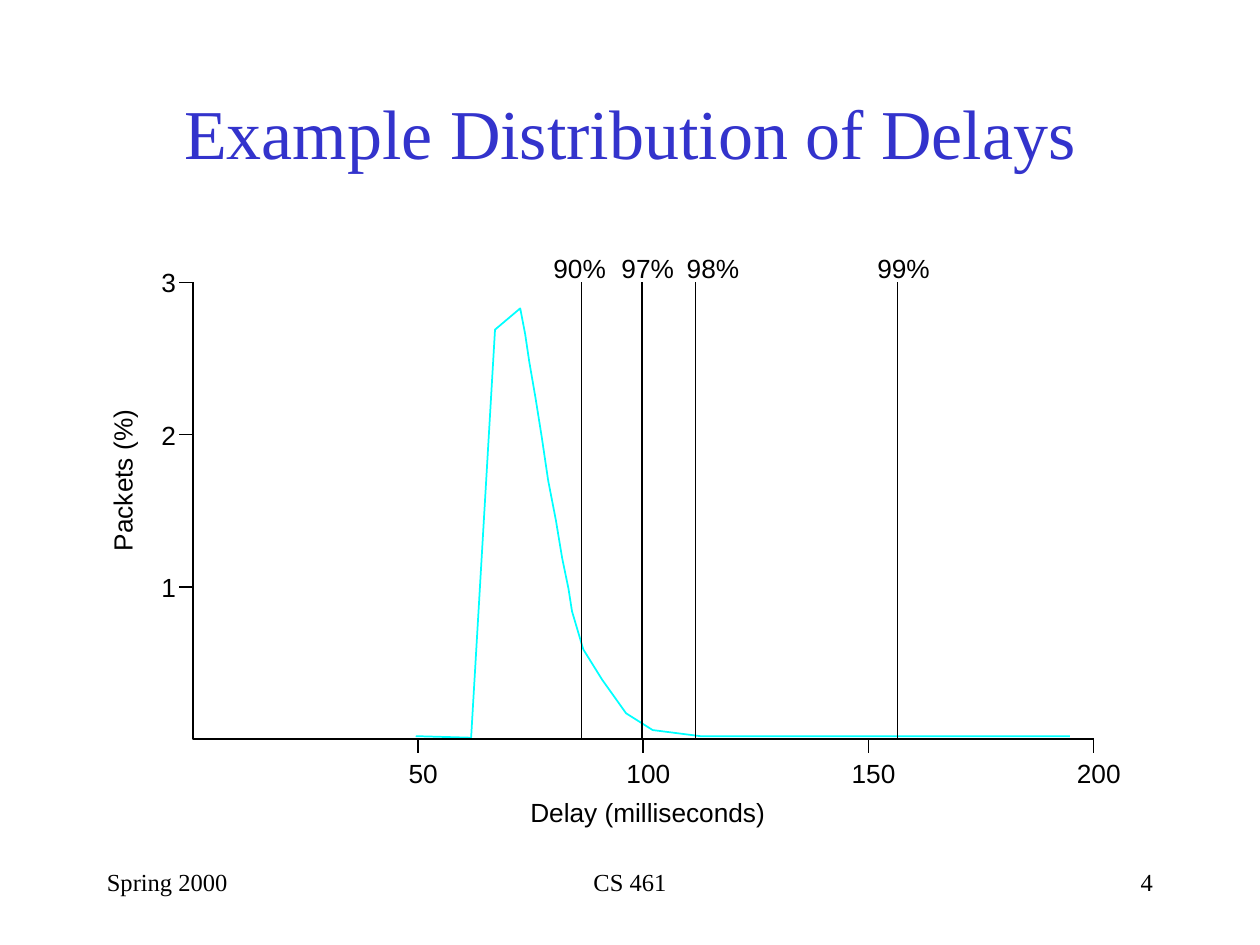
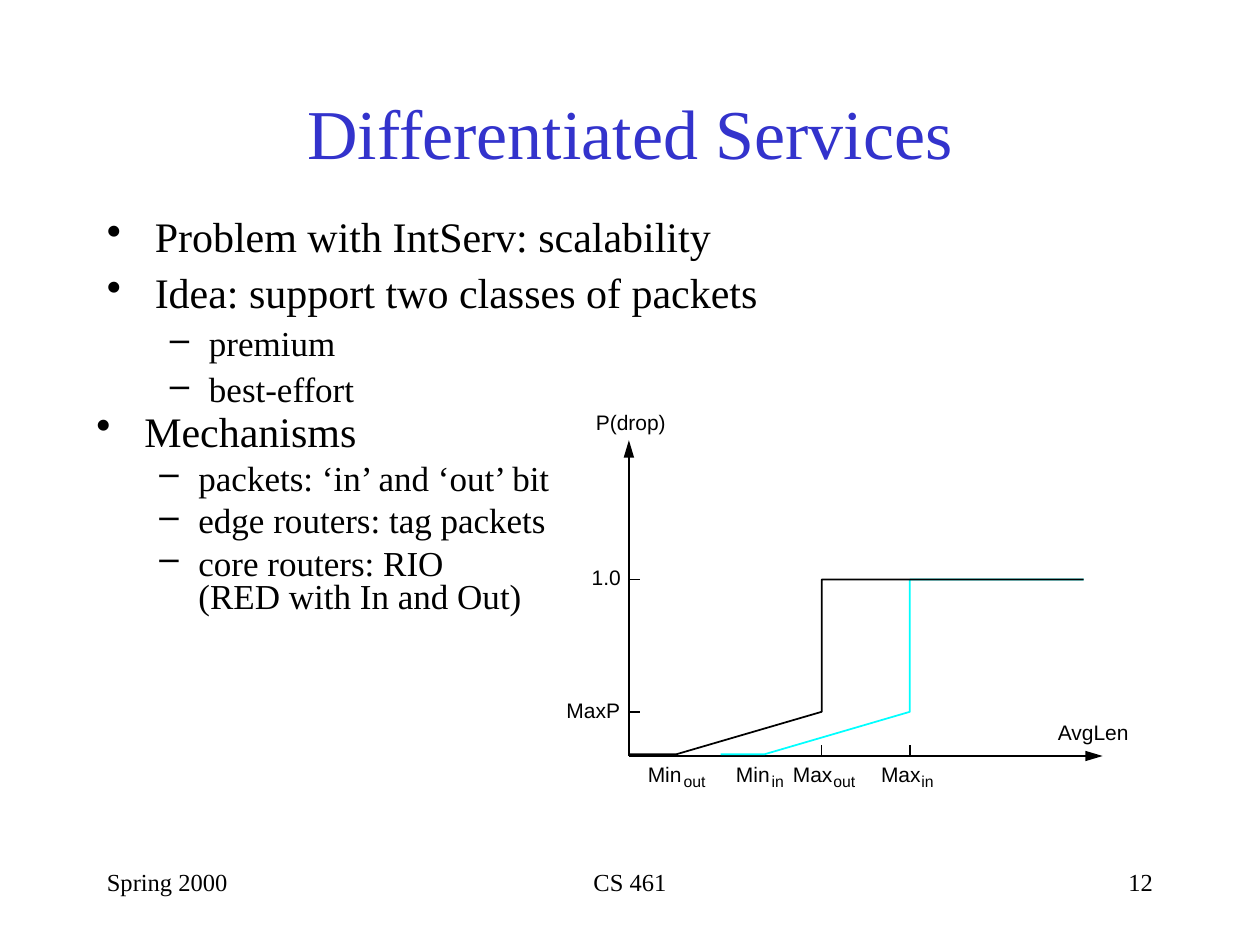
from dataclasses import dataclass

from lxml import etree
from pptx import Presentation
from pptx.dml.color import RGBColor
from pptx.enum.shapes import MSO_CONNECTOR
from pptx.enum.text import MSO_ANCHOR, MSO_AUTO_SIZE, PP_ALIGN
from pptx.oxml.ns import qn
from pptx.util import Inches, Pt

STRAIGHT = MSO_CONNECTOR.STRAIGHT
TOP, MIDDLE = MSO_ANCHOR.TOP, MSO_ANCHOR.MIDDLE
LEFT, CENTER, RIGHT = PP_ALIGN.LEFT, PP_ALIGN.CENTER, PP_ALIGN.RIGHT
FIXED = MSO_AUTO_SIZE.NONE

COLORS = {"title": "3333CC", "ink": "000000", "curve": "00FFFF"}
SERIF, SANS = "Times New Roman", "Arial"
COLUMNS, ROWS = 120, 90
CELL = Inches(10) / COLUMNS


@dataclass
class Box:
    """Rectangle measured in columns and rows of the slide grid."""
    left: float
    top: float
    width: float
    height: float

    def place(self, shape):
        """Move a shape onto this rectangle."""
        shape.left, shape.top = cells(self.left), cells(self.top)
        shape.width, shape.height = cells(self.width), cells(self.height)


@dataclass
class Plot:
    """Plotting area that turns data values into grid positions."""
    box: Box
    x_max: float
    y_max: float

    def at(self, x, y):
        """Return the grid position of a data point."""
        box = self.box
        return (box.left + box.width * x / self.x_max,
                box.top + box.height * (1 - y / self.y_max))


TITLE = Box(9, 5, 102, 15)
FOOTERS = [(Box(9, 82, 25, 6), LEFT), (Box(41, 82, 38, 6), CENTER),
           (Box(86, 82, 25, 6), RIGHT)]
DELAY_BOX = Box(18.36, 26.9, 85.8, 43.5)
DROP_BOX = Box(59.9, 55.2, 43.3, 16.8)

DELAY_CURVE = [
    (49.5, 0.02), (61.8, 0.01), (67.1, 2.69), (72.7, 2.83), (73.8, 2.66),
    (74.7, 2.48), (76.1, 2.24), (77.5, 1.98), (78.9, 1.7), (80.6, 1.44),
    (82, 1.19), (83.4, 0.99), (84.2, 0.84), (85.3, 0.73), (86.7, 0.59),
    (90.9, 0.39), (96.2, 0.17), (102.1, 0.06), (112.7, 0.02), (194.7, 0.02)]
PERCENTILES = [("90%", 86.3, 85.9), ("97%", 99.7, 101),
               ("98%", 111.6, 115.5), ("99%", 156.4, 157.8)]


def cells(count):
    """Convert grid cells to a length."""
    return round(count * CELL)


def rgb(name):
    """Look up a colour by its role."""
    return RGBColor.from_string(COLORS[name])


def write(paragraph, text, *, size, font=SERIF, color="ink", align=LEFT):
    """Fill a paragraph with formatted text."""
    paragraph.text = text
    paragraph.alignment = align
    for run in paragraph.runs:
        run.font.size, run.font.name = Pt(size), font
        run.font.color.rgb = rgb(color)


def set_frame(frame, inset=(0.1, 0.05), anchor=TOP, wrap=True):
    """Set the margins, anchor and wrapping of a text frame."""
    frame.auto_size, frame.word_wrap = FIXED, wrap
    frame.vertical_anchor = anchor
    frame.margin_left = frame.margin_right = Inches(inset[0])
    frame.margin_top = frame.margin_bottom = Inches(inset[1])
    return frame


def add_box(slide, box):
    """Add an empty text box on the grid."""
    shape = slide.shapes.add_textbox(0, 0, 0, 0)
    box.place(shape)
    return shape


def add_label(slide, text, center, width, size, rotation=0):
    """Add an axis label centred on a grid position."""
    height = size / 5
    x, y = center
    shape = add_box(slide, Box(x - width / 2, y - height / 2, width, height))
    shape.rotation = rotation
    frame = set_frame(shape.text_frame, inset=(0, 0), wrap=False)
    write(frame.paragraphs[0], text, size=size, font=SANS)


def add_bullets(slide, box, items, spacing):
    """Add a two-level bullet list of (level, text) items."""
    frame = set_frame(add_box(slide, box).text_frame)
    styles = [("•", 24, 0.38, 0.38, 6), ("–", 20, 0.81, 0.31, 5)]
    for index, (level, text) in enumerate(items):
        mark, size, margin, hanging, before = styles[level]
        paragraph = frame.add_paragraph() if index else frame.paragraphs[0]
        properties = paragraph._p.get_or_add_pPr()
        properties.set("marL", str(Inches(margin)))
        properties.set("indent", str(-Inches(hanging)))
        etree.SubElement(properties, qn("a:buChar")).set("char", mark)
        paragraph.level = level
        paragraph.line_spacing = spacing
        paragraph.space_before = Pt(before if index else 0)
        write(paragraph, text, size=size)


def add_line(slide, start, end, width, arrow=False):
    """Draw a straight line between two grid positions."""
    line = slide.shapes.add_connector(
        STRAIGHT, *(cells(value) for value in (*start, *end)))
    line.line.width, line.line.color.rgb = Pt(width), rgb("ink")
    if arrow:
        head = etree.SubElement(line.line._get_or_add_ln(), qn("a:tailEnd"))
        for key, value in (("type", "triangle"), ("w", "med"), ("len", "lg")):
            head.set(key, value)
    etree.SubElement(line._element.spPr, qn("a:effectLst"))


def add_curve(slide, plot, points, color, width=1):
    """Draw an open outline through data points."""
    start, *rest = [tuple(map(cells, plot.at(*point))) for point in points]
    builder = slide.shapes.build_freeform(*start)
    builder.add_line_segments(rest, close=False)
    curve = builder.convert_to_shape()
    curve.shadow.inherit = False
    curve.fill.background()
    curve.line.width, curve.line.color.rgb = Pt(width), rgb(color)


def start_slide(deck, title, number):
    """Add a slide with its title and footers."""
    slide = deck.slides.add_slide(deck.slide_layouts[5])
    heading = slide.shapes.title
    TITLE.place(heading)
    frame = set_frame(heading.text_frame, anchor=MIDDLE)
    write(frame.paragraphs[0], title, size=40, color="title", align=CENTER)
    for (box, align), text in zip(FOOTERS, ("Spring 2000", "CS 461", number)):
        footer = set_frame(add_box(slide, box).text_frame)
        write(footer.paragraphs[0], text, size=14, align=align)
    return slide


def draw_delay_plot(slide, box):
    """Draw the packet delay distribution with its percentiles."""
    plot = Plot(box, 200, 3)
    bottom = box.top + box.height
    add_curve(slide, plot, DELAY_CURVE, "curve")
    add_curve(slide, plot, [(0, 3), (0, 0), (200, 0)], "ink", 0.88)
    for percent in (1, 2, 3):
        x, y = plot.at(0, percent)
        add_line(slide, (x, y), (x - 1.3, y), 0.88)
        add_label(slide, str(percent), (x - 2.28, y), 1.4, 15)
    for delay in range(50, 201, 50):
        x, y = plot.at(delay, 0)
        add_line(slide, (x, y), (x, y + 1.3), 0.88)
        add_label(slide, str(delay), (x + 0.5, y + 3.2),
                  1.4 * len(str(delay)), 15)
    for text, delay, label_delay in PERCENTILES:
        add_line(slide, plot.at(delay, 3), plot.at(delay, 0), 0.88)
        add_label(slide, text, (plot.at(label_delay, 3)[0], box.top - 1.4), 5, 15)
    add_label(slide, "Packets (%)", (box.left - 6.72, box.top + 18.9), 13.4, 15, 270)
    add_label(slide, "Delay (milliseconds)", (box.left + 43.3, bottom + 6.95), 22.3, 15)


def draw_drop_plot(slide, box):
    """Draw drop probability against queue length for both packet classes."""
    plot = Plot(box, 100, 1)
    origin = plot.at(0, 0)
    add_line(slide, origin, plot.at(0, 1.79), 0.75, arrow=True)
    add_line(slide, origin, plot.at(104.2, 0), 0.75, arrow=True)
    add_label(slide, "P(drop)", (box.left + 0.2, box.top - 15), 6.7, 12)
    add_label(slide, "AvgLen", (box.left + 44.2, box.top + 14.5), 6.7, 12)
    for text, chance, width in (("1.0", 1, 2.8), ("MaxP", 0.25, 5.2)):
        x, y = plot.at(0, chance)
        add_line(slide, (x, y), (x + 1.1, y), 0.75)
        add_label(slide, text, (x - 0.75 - width / 2, y - 0.2), width, 12)
    classes = [("in", 1.2, "curve", 20.2, 29.9), ("out", 2.1, "ink", 0, 10.5)]
    for name, name_width, color, start, lower in classes:
        upper = lower + 31.9
        add_curve(slide, plot, [(start, 0.01), (lower, 0.01), (upper, 0.25),
                                (upper, 1), (100, 1)], color)
        x, y = plot.at(upper, 0)
        add_line(slide, (x, y), (x, y - 1), 0.75)
        for text, value, width in (("Min", lower, 3.4), ("Max", upper, 3.85)):
            left = plot.at(value, 0)[0] - 2.75
            add_label(slide, text, (left + width / 2, y + 1.7), width, 12)
            add_label(slide, name, (left + width + name_width / 2, y + 2.35),
                      name_width, 9)


def build_delays(deck):
    """Build the delay distribution slide."""
    slide = start_slide(deck, "Example Distribution of Delays", "4")
    draw_delay_plot(slide, DELAY_BOX)


def build_services(deck):
    """Build the differentiated services slide."""
    slide = start_slide(deck, "Differentiated Services", "12")
    add_bullets(slide, Box(9, 20, 68, 54), [
        (0, "Problem with IntServ: scalability"),
        (0, "Idea: support two classes of packets"),
        (1, "premium"),
        (1, "best-effort")], 0.9)
    draw_drop_plot(slide, DROP_BOX)
    add_bullets(slide, Box(8, 39, 46, 25), [
        (0, "Mechanisms"),
        (1, "packets: ‘in’ and ‘out’ bit"),
        (1, "edge routers: tag packets"),
        (1, "core routers: RIO\v(RED with In and Out)")], 0.8)


def main():
    """Build and save the deck."""
    deck = Presentation()
    deck.slide_width, deck.slide_height = cells(COLUMNS), cells(ROWS)
    build_delays(deck)
    build_services(deck)
    deck.save("out.pptx")


if __name__ == "__main__":
    main()
